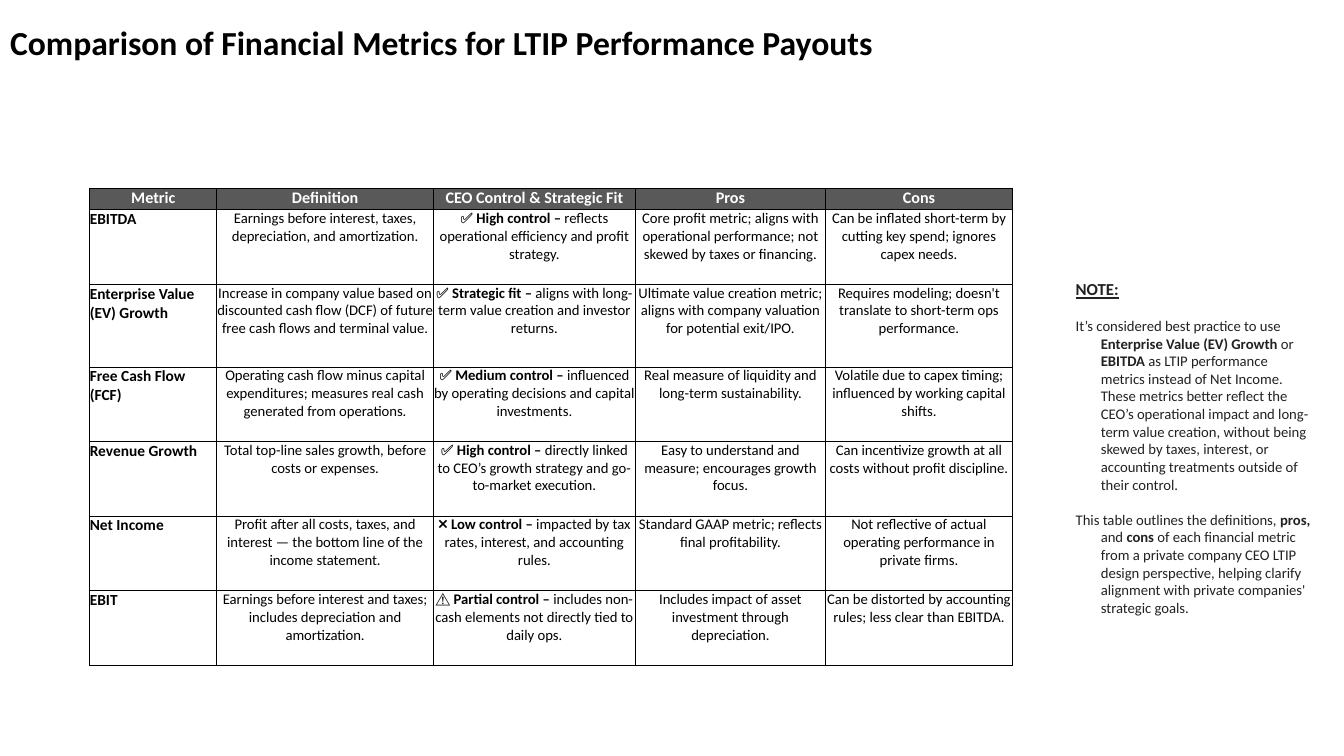
from lxml.etree import SubElement
from pptx import Presentation
from pptx.dml.color import RGBColor
from pptx.enum.shapes import MSO_SHAPE
from pptx.enum.text import MSO_ANCHOR, MSO_AUTO_SIZE, PP_ALIGN
from pptx.oxml.ns import qn
from pptx.util import Emu, Pt

EMU_PER_PX = 9144
COLORS = {"ink": "000000", "note": "222222", "paper": "FFFFFF", "header": "595959"}

COLUMN_WIDTHS = [126, 215, 200, 189, 185]
ROW_HEIGHTS = [21, 74, 82, 74, 74, 74, 74]
HEADERS = ["Metric", "Definition", "CEO Control & Strategic Fit", "Pros", "Cons"]
METRICS = [
    ["EBITDA",
     "Earnings before interest, taxes, depreciation, and amortization.",
     "**✅ High control –** reflects operational efficiency and profit strategy.",
     "Core profit metric; aligns with operational performance; not skewed by taxes or financing.",
     "Can be inflated short-term by cutting key spend; ignores capex needs."],
    ["Enterprise Value (EV) Growth",
     "Increase in company value based on discounted cash flow (DCF) of future "
     "free cash flows and terminal value.",
     "**✅ Strategic fit –** aligns with long-term value creation and investor returns.",
     "Ultimate value creation metric; aligns with company valuation for potential exit/IPO.",
     "Requires modeling; doesn't translate to short-term ops performance."],
    ["Free Cash Flow (FCF)",
     "Operating cash flow minus capital expenditures; measures real cash generated from operations.",
     "**✅ Medium control –** influenced by operating decisions and capital investments.",
     "Real measure of liquidity and long-term sustainability.",
     "Volatile due to capex timing; influenced by working capital shifts."],
    ["Revenue Growth",
     "Total top-line sales growth, before costs or expenses.",
     "**✅ High control – **directly linked to CEO’s growth strategy and go-to-market execution.",
     "Easy to understand and measure; encourages growth focus.",
     "Can incentivize growth at all costs without profit discipline."],
    ["Net Income",
     "Profit after all costs, taxes, and interest — the bottom line of the income statement.",
     "**❌ Low control –** impacted by tax rates, interest, and accounting rules.",
     "Standard GAAP metric; reflects final profitability.",
     "Not reflective of actual operating performance in private firms."],
    ["EBIT",
     "Earnings before interest and taxes; includes depreciation and amortization.",
     "**⚠️ Partial control –** includes non-cash elements not directly tied to daily ops.",
     "Includes impact of asset investment through depreciation.",
     "Can be distorted by accounting rules; less clear than EBITDA."],
]
NOTES = [
    "It’s considered best practice to use **Enterprise Value (EV) Growth** or **EBITDA** as LTIP "
    "performance metrics instead of Net Income. These metrics better reflect the CEO’s operational "
    "impact and long-term value creation, without being skewed by taxes, interest, or accounting "
    "treatments outside of their control.",
    "This table outlines the definitions, **pros, **and **cons** of each financial metric from a "
    "private company CEO LTIP design perspective, helping clarify alignment with private "
    "companies' strategic goals.",
]


def px(length):
    """Turn whole pixels into EMU."""
    return Emu(length * EMU_PER_PX)


def write_text(paragraph, text, *, size, color="ink", bold=False, underline=False,
               align=PP_ALIGN.LEFT, font="Calibri"):
    """Fill a paragraph, switching bold at each double asterisk."""
    paragraph.alignment = align
    for index, part in enumerate(text.split("**")):
        if part:
            run = paragraph.add_run()
            run.text = part
            run.font.name = font
            run.font.size = Pt(size)
            run.font.bold = bold != (index % 2 == 1)
            run.font.underline = underline
            run.font.color.rgb = RGBColor.from_string(COLORS[color])


class MetricsSlide:
    """Hold the slide and draw its elements in one style."""

    def __init__(self, presentation):
        """Add a title-only slide."""
        self.slide = presentation.slides.add_slide(presentation.slide_layouts[5])

    def title(self, text, left, top, width, height):
        """Place and format the title placeholder."""
        shape = self.slide.shapes.title
        shape.left, shape.top, shape.width, shape.height = map(px, (left, top, width, height))
        shape.text_frame.vertical_anchor = MSO_ANCHOR.MIDDLE
        write_text(shape.text_frame.paragraphs[0], text, size=24, bold=True)

    def border(self, cell):
        """Draw a thin line on all four sides of a cell."""
        properties = cell._tc.get_or_add_tcPr()
        for position, side in enumerate(("a:lnL", "a:lnR", "a:lnT", "a:lnB")):
            line = SubElement(properties, qn(side), w=str(Pt(0.5)))
            fill = SubElement(line, qn("a:solidFill"))
            SubElement(fill, qn("a:srgbClr"), val=COLORS["ink"])
            properties.insert(position, line)

    def table(self, rows, left, top):
        """Add the comparison table with its header row."""
        frame = self.slide.shapes.add_table(
            len(rows), len(COLUMN_WIDTHS), px(left), px(top),
            px(sum(COLUMN_WIDTHS)), px(sum(ROW_HEIGHTS)))
        table = frame.table
        table.first_row = table.horz_banding = False
        for column, width in zip(table.columns, COLUMN_WIDTHS):
            column.width = px(width)
        for row, height in zip(table.rows, ROW_HEIGHTS):
            row.height = px(height)
        for row_index, texts in enumerate(rows):
            for column_index, text in enumerate(texts):
                cell = table.cell(row_index, column_index)
                cell.margin_left = cell.margin_right = cell.margin_top = cell.margin_bottom = 0
                paragraph = cell.text_frame.paragraphs[0]
                if row_index == 0:
                    cell.fill.solid()
                    cell.fill.fore_color.rgb = RGBColor.from_string(COLORS["header"])
                    write_text(paragraph, text, size=11.5, color="paper", bold=True,
                               align=PP_ALIGN.CENTER)
                else:
                    cell.fill.background()
                    if column_index == 0:
                        write_text(paragraph, text, size=11, bold=True)
                    else:
                        write_text(paragraph, text, size=10.5, align=PP_ALIGN.CENTER)
                self.border(cell)

    def note(self, heading, texts, left, top, width, height):
        """Add the note box with hanging paragraphs."""
        shape = self.slide.shapes.add_shape(
            MSO_SHAPE.RECTANGLE, px(left), px(top), px(width), px(height))
        shape.shadow.inherit = False
        shape.fill.solid()
        shape.fill.fore_color.rgb = RGBColor.from_string(COLORS["paper"])
        shape.line.fill.background()
        frame = shape.text_frame
        frame.word_wrap = True
        frame.auto_size = MSO_AUTO_SIZE.SHAPE_TO_FIT_TEXT
        frame.vertical_anchor = MSO_ANCHOR.TOP
        write_text(frame.paragraphs[0], heading, size=12, color="note", bold=True, underline=True)
        for text in texts:
            paragraph = frame.add_paragraph()
            paragraph.space_before = Pt(12.5)
            write_text(paragraph, text, size=10.5, color="note")
        for paragraph in frame.paragraphs:
            properties = paragraph._p.get_or_add_pPr()
            properties.set("marL", str(px(50)))
            properties.set("indent", str(px(-25)))


def main():
    """Build and save the presentation."""
    presentation = Presentation()
    presentation.slide_width, presentation.slide_height = px(1333), px(750)
    slide = MetricsSlide(presentation)
    slide.title("Comparison of Financial Metrics for LTIP Performance Payouts", 0, 0, 1054, 83)
    slide.table([HEADERS] + METRICS, 89, 187)
    slide.note("NOTE:", NOTES, 1032, 272, 282, 381)
    presentation.save("out.pptx")


if __name__ == "__main__":
    main()
